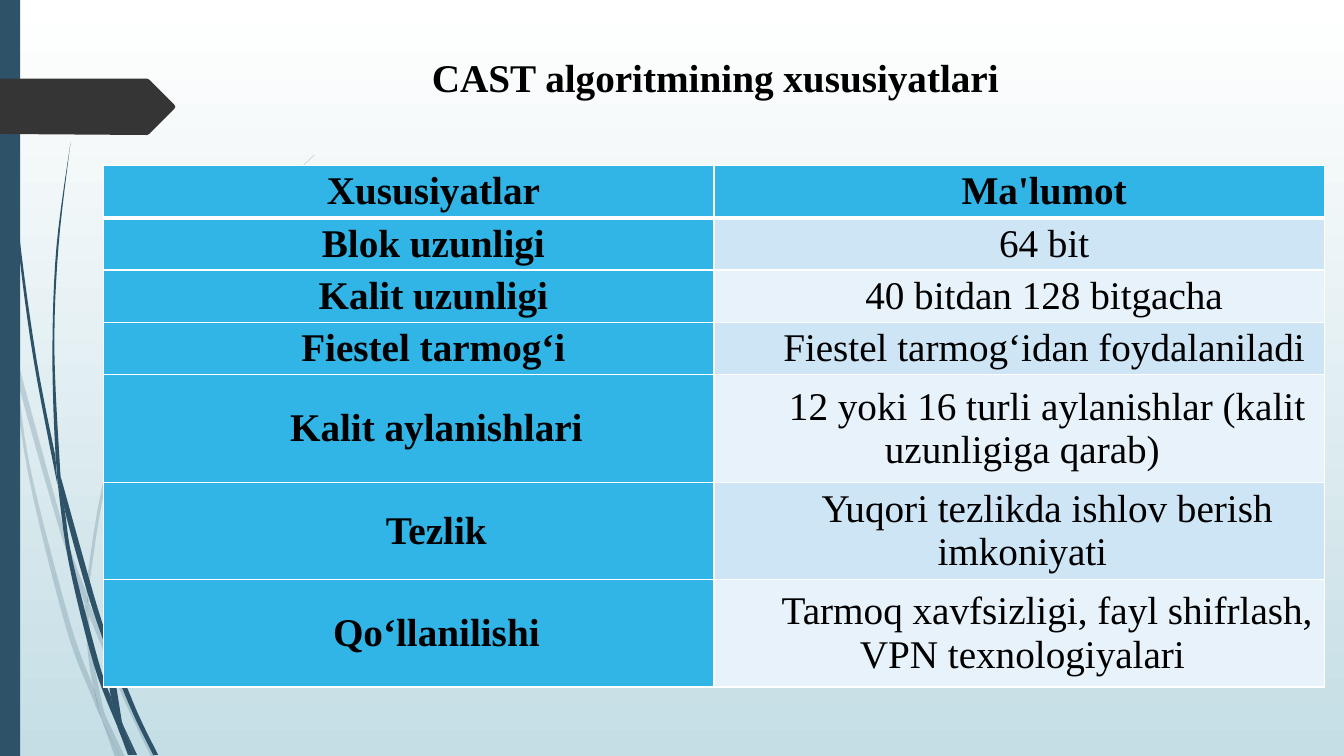
from lxml import etree
from pptx import Presentation
from pptx import util as u
from pptx.dml.color import RGBColor
from pptx.enum import shapes, text
from pptx.oxml import ns

BLACK = RGBColor(0x00, 0x00, 0x00)
WHITE = RGBColor(0xFF, 0xFF, 0xFF)
MIST = RGBColor(0xC5, 0xDE, 0xE5)
NAVY = RGBColor(0x2E, 0x53, 0x69)
CHARCOAL = RGBColor(0x35, 0x35, 0x35)
CYAN = RGBColor(0x31, 0xB4, 0xE6)
BAND_DARK = RGBColor(0xCE, 0xE5, 0xF5)
BAND_LIGHT = RGBColor(0xE8, 0xF2, 0xFA)
FONT = "Times New Roman"
UNIT = 0.72  # points per unit of the outline coordinates below

# Each blade of grass: one edge going out, the other edge coming back
PALE_BLADES = [
    ([(11, 350), (9, 322), (0, 282)], [(0, 299), (10, 344), (11, 350)]),
    ([(14, 345), (17, 376), (58, 522), (84, 599)], [(85, 586), (62, 520), (14, 345)]),
    ([(88, 610), (123, 694), (150, 751)], [(155, 751), (127, 692), (92, 607), (88, 596)]),
    ([(105, 711), (119, 751)], [(124, 751), (105, 711)]),
    ([(11, 350), (28, 470), (65, 621), (92, 693), (101, 714)],
     [(99, 707), (93, 683), (70, 619), (31, 469), (17, 376), (11, 350)]),
    ([(84, 599), (87, 646), (93, 683), (105, 711)],
     [(103, 706), (91, 646), (88, 610), (84, 599)]),
    ([(85, 584), (107, 461), (158, 348), (228, 244), (268, 197), (312, 153)],
     [(312, 154), (268, 198), (229, 245), (160, 349), (110, 462), (88, 584), (88, 596)]),
    ([(101, 714), (114, 751)], [(119, 751), (101, 714)]),
    ([(85, 586), (84, 599)], [(88, 608), (88, 596)]),
    ([(93, 683), (101, 714), (119, 751)], [(105, 711), (96, 692)]),
]
DARK_BLADES = [
    ([(3, 0), (7, 110), (17, 233), (33, 355), (57, 481)],
     [(55, 453), (36, 355), (19, 232), (8, 109), (4, 0)]),
    ([(60, 472), (64, 505), (88, 592), (106, 645)], [(106, 631), (93, 590), (60, 472)]),
    ([(110, 641), (111, 656), (132, 708), (152, 749)], [(157, 749), (136, 706), (110, 641)]),
    ([(57, 477), (68, 557), (93, 659), (117, 722)],
     [(110, 691), (98, 657), (72, 556), (64, 505), (57, 477)]),
    ([(60, 472), (54, 349), (58, 245), (70, 141)],
     [(70, 141), (56, 245), (52, 349), (55, 449), (60, 472)]),
    ([(122, 719), (133, 749)], [(136, 749), (122, 719)]),
    ([(55, 449), (57, 477)], [(64, 505), (60, 472)]),
    ([(106, 631), (122, 551), (156, 474), (204, 405), (260, 344)],
     [(261, 344), (205, 406), (158, 476), (125, 552), (111, 633), (110, 641)]),
    ([(117, 722), (127, 749)], [(131, 749), (117, 722)]),
    ([(106, 645), (110, 691), (122, 719)], [(121, 716), (111, 656), (106, 645)]),
    ([(106, 631), (106, 645)], [(111, 656), (110, 641)]),
    ([(110, 691), (117, 722), (130, 749)], [(133, 749), (122, 719), (116, 706)]),
]
ARROW = [(0, 78), (146, 78), (148, 79), (173, 104), (174, 106),
         (173, 108), (148, 133), (146, 134), (0, 133)]

ROWS = [
    ("Xususiyatlar", "Ma'lumot"),
    ("Blok uzunligi", "64 bit"),
    ("Kalit uzunligi", "40 bitdan 128 bitgacha"),
    ("Fiestel tarmog‘i", "Fiestel tarmog‘idan foydalaniladi"),
    ("Kalit aylanishlari", "12 yoki 16 turli aylanishlar (kalit uzunligiga qarab)"),
    ("Tezlik", "Yuqori tezlikda ishlov berish imkoniyati"),
    ("Qo‘llanilishi", "Tarmoq xavfsizligi, fayl shifrlash, VPN texnologiyalari"),
]
ROW_HEIGHTS = [37.4] * 4 + [77, 69.1, 77]
FIRST_TALL_ROW = 4


def paint(shape, color, opacity=100):
    shape.shadow.inherit = False
    shape.fill.solid()
    shape.fill.fore_color.rgb = color
    shape.line.fill.background()
    if opacity < 100:
        tone = shape.fill._xPr.find(".//" + ns.qn("a:srgbClr"))
        etree.SubElement(tone, ns.qn("a:alpha"), val=str(opacity * 1000))


def smooth(points, steps=6):
    """Sample a Catmull-Rom curve that runs through the points."""
    padded = [points[0], *points, points[-1]]
    curve = [points[0]]
    for a, b, c, d in zip(padded, padded[1:], padded[2:], padded[3:]):
        for step in range(1, steps + 1):
            t = step / steps
            curve.append(tuple(
                (2 * q + (r - p) * t + (2 * p - 5 * q + 4 * r - s) * t ** 2
                 + (3 * q - p - 3 * r + s) * t ** 3) / 2
                for p, q, r, s in zip(a, b, c, d)))
    return curve


def add_outline(parent, points, left, top, color, opacity=100):
    corners = [(u.Pt(left + x * UNIT), u.Pt(top + y * UNIT)) for x, y in points]
    builder = parent.shapes.build_freeform(*corners[0])
    builder.add_line_segments(corners[1:], close=True)
    paint(builder.convert_to_shape(), color, opacity)


def add_decor(page, left, top, height):
    for blades, opacity in ((PALE_BLADES, 20), (DARK_BLADES, 100)):
        grass = page.shapes.add_group_shape()
        for out, back in blades:
            add_outline(grass, smooth(out) + smooth(back), left, top, NAVY, opacity)
    # Side bar and page arrow
    bar = page.shapes.add_shape(shapes.MSO_SHAPE.RECTANGLE, u.Pt(left), u.Pt(top),
                                u.Pt(14.4), u.Pt(height))
    paint(bar, NAVY)
    add_outline(page, ARROW, left, top, CHARCOAL)


def write(frame, content, bold=True, margin=0, spacing=None):
    para = frame.paragraphs[0]
    para.alignment = text.PP_ALIGN.CENTER
    para.line_spacing = spacing
    layout = para._p.get_or_add_pPr()
    layout.set("marL", str(u.Pt(margin)))
    layout.set("indent", str(u.Pt(35.4)))
    span = para.add_run()
    span.text = content
    span.font.name = FONT
    span.font.size = u.Pt(28)
    span.font.bold = bold
    span.font.color.rgb = BLACK


def add_title(page, left, top, width, height):
    box = page.shapes.add_textbox(u.Pt(left), u.Pt(top), u.Pt(width), u.Pt(height))
    box.text_frame.word_wrap = True
    write(box.text_frame, "CAST algoritmining xususiyatlari", spacing=1.5)


def add_borders(cell, **widths):
    for side in "LRTB":
        line = etree.SubElement(cell._tc.get_or_add_tcPr(), ns.qn("a:ln" + side),
                                w=str(u.Pt(widths.get(side, 1))))
        fill = etree.SubElement(line, ns.qn("a:solidFill"))
        etree.SubElement(fill, ns.qn("a:srgbClr"), val=str(WHITE))


def add_properties_table(page, left, top, width):
    frame = page.shapes.add_table(len(ROWS), 2, u.Pt(left), u.Pt(top),
                                  u.Pt(width), u.Pt(sum(ROW_HEIGHTS)))
    table = frame.table
    for column in table.columns:
        column.width = u.Pt(width / 2)
    for i, (entries, height) in enumerate(zip(ROWS, ROW_HEIGHTS)):
        table.rows[i].height = u.Pt(height)
        for j, entry in enumerate(entries):
            cell = table.cell(i, j)
            heading = i == 0 or j == 0
            cell.margin_left = cell.margin_right = u.Pt(0.7)
            cell.margin_top = cell.margin_bottom = u.Pt(0.7)
            cell.vertical_anchor = text.MSO_ANCHOR.MIDDLE
            # A thick rule separates the header from the body
            add_borders(cell, B=3 if i == 0 else 1, T=3 if i == 1 else 1)
            cell.fill.solid()
            band = BAND_DARK if i % 2 else BAND_LIGHT
            cell.fill.fore_color.rgb = CYAN if heading else band
            write(cell.text_frame, entry, bold=heading,
                  margin=4.3 if i >= FIRST_TALL_ROW else 0)


def add_background(page):
    fill = page.background.fill
    fill.gradient()
    fill.gradient_angle = 270
    for stop, color in zip(fill.gradient_stops, (WHITE, MIST)):
        stop.color.rgb = color


def main():
    deck = Presentation()
    deck.slide_width, deck.slide_height = u.Pt(960), u.Pt(540)
    page = deck.slides.add_slide(deck.slide_layouts[6])
    add_background(page)
    add_decor(page, 0, 0, 540)
    add_title(page, 110.9, 18, 764.6, 51.8)
    add_properties_table(page, 73.7, 118.1, 872.6)
    deck.save("out.pptx")


if __name__ == "__main__":
    main()
